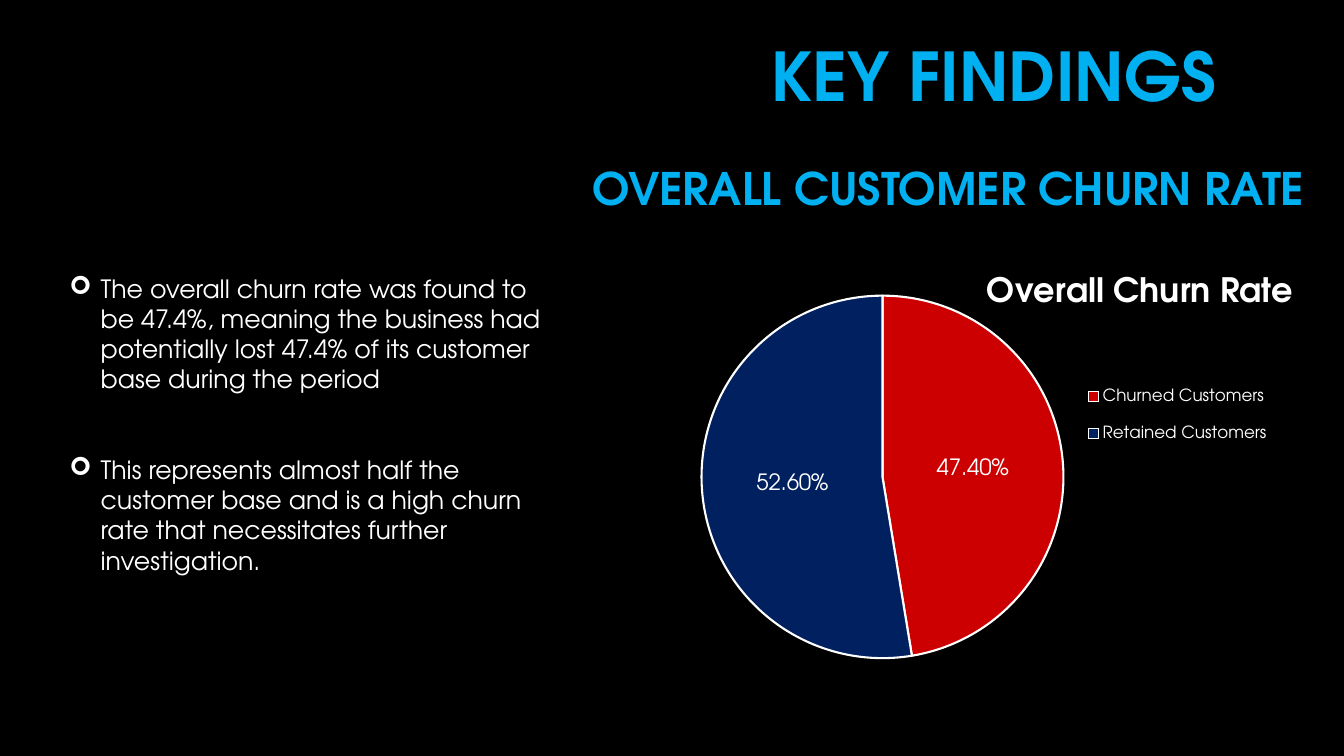
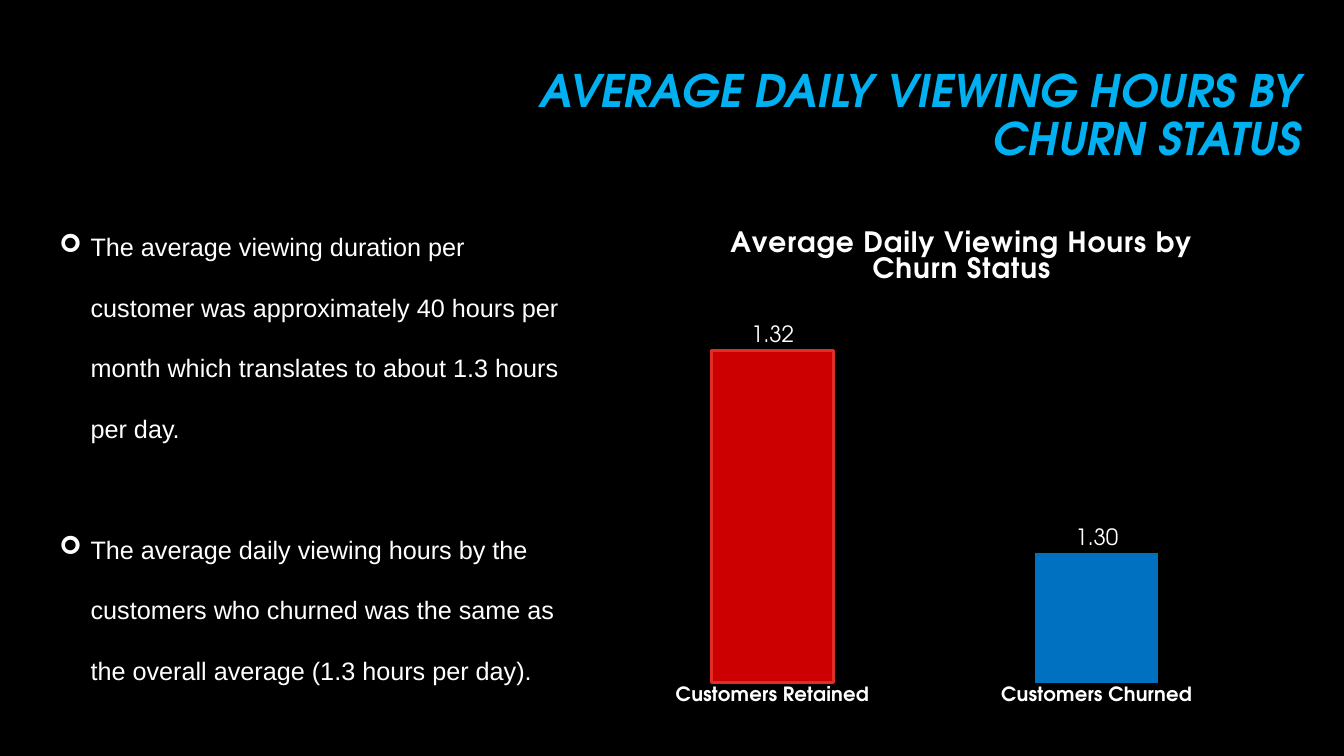
from lxml import etree
from pptx import Presentation
from pptx.chart.data import CategoryChartData
from pptx.dml.color import RGBColor
from pptx.enum.chart import XL_CHART_TYPE, XL_LABEL_POSITION, XL_LEGEND_POSITION, XL_TICK_MARK
from pptx.enum.text import MSO_ANCHOR, PP_ALIGN
from pptx.oxml.ns import qn
from pptx.util import Emu, Pt

PIE, COLUMN = XL_CHART_TYPE.PIE, XL_CHART_TYPE.COLUMN_CLUSTERED
CENTER, OUTSIDE_END = XL_LABEL_POSITION.CENTER, XL_LABEL_POSITION.OUTSIDE_END
CORNER = XL_LEGEND_POSITION.CORNER
NO_TICK = XL_TICK_MARK.NONE
RIGHT, MIDDLE = PP_ALIGN.RIGHT, MSO_ANCHOR.MIDDLE

PX = 9144  # 100 px to the inch
DISPLAY_FONT, PLAIN_FONT, BULLET_FONT = "TeX Gyre Adventor", "Arial", "Wingdings"
BLACK, WHITE, SKY = "000000", "FFFFFF", "00B0F0"
RED, NAVY, BLUE, RED_EDGE = "CC0000", "002060", "0070C0", "DF2E28"
BULLET_INDENT = 31
BULLET_GAP = 43

# Boxes are left, top, width, height in px; layouts are fractions of the chart.
SLIDES = [
    {
        "headings": [
            {"text": "OVERALL CUSTOMER CHURN RATE", "box": (446, 156, 858, 67), "size": 32},
            {"text": "KEY FINDINGS", "box": (675, 45, 541, 68), "size": 48},
        ],
        "findings": {
            "box": (59, 266, 511, 343), "font": DISPLAY_FONT, "spacing": 1.0,
            "items": [
                "The overall churn rate was found to be 47.4%, meaning the business had "
                "potentially lost 47.4% of its customer base during the period",
                "This represents almost half the customer base and is a high churn rate "
                "that necessitates further investigation.",
            ],
        },
        "chart": {
            "type": PIE, "box": (658, 215, 631, 453),
            "title": "Overall Churn Rate", "title_size": 24, "title_tracking": 0,
            "points": [("Churned Customers", 0.474, RED, (WHITE, 1.5)),
                       ("Retained Customers", 0.526, NAVY, (WHITE, 1.5))],
            "format": "0.00%", "label_position": CENTER,
            "title_at": (0.5, 0.11), "plot_at": (0.06, 0.17, 0.57, 0.8),
            "legend_at": (0.66, 0.33, 0.3, 0.21),
        },
    },
    {
        "headings": [
            {"text": "AVERAGE DAILY VIEWING HOURS BY CHURN STATUS",
             "box": (498, 52, 802, 128), "size": 32, "italic": True},
        ],
        "findings": {
            "box": (49, 195, 531, 485), "font": PLAIN_FONT, "spacing": 2.0,
            "items": [
                "The average viewing duration per customer was approximately 40 hours per "
                "month which translates to about 1.3 hours per day.",
                "The average daily viewing hours by the customers who churned was the same "
                "as the overall average (1.3 hours per day).",
            ],
        },
        "chart": {
            "type": COLUMN, "box": (592, 216, 670, 496),
            "title": "Average Daily Viewing Hours by Churn Status",
            "title_size": 20, "title_tracking": 50,
            "points": [("Customers Retained", 1.32, RED, (RED_EDGE, 2)),
                       ("Customers Churned", 1.30, BLUE, None)],
            "format": "0.00", "label_position": OUTSIDE_END,
            "title_at": (0.19, 0.01), "plot_at": (0.02, 0.17, 0.96, 0.76),
            "value_range": (1.2873, 1.3247),
        },
    },
]


def rgb(hex_color):
    return RGBColor.from_string(hex_color)


def emu(box):
    return [Emu(length * PX) for length in box]


def style(font, size, name=DISPLAY_FONT, color=WHITE, bold=False, italic=False):
    font.size, font.name = Pt(size), name
    font.bold, font.italic = bold, italic
    font.color.rgb = rgb(color)


def add_frame(slide, box):
    frame = slide.shapes.add_textbox(*emu(box)).text_frame
    frame.word_wrap = True
    return frame


def add_heading(slide, text, box, size, italic=False):
    frame = add_frame(slide, box)
    frame.vertical_anchor = MIDDLE
    frame.text = text
    line = frame.paragraphs[0]
    line.alignment, line.line_spacing = RIGHT, 0.9
    style(line.runs[0].font, size, color=SKY, bold=True, italic=italic)


def add_findings(slide, box, font, spacing, items):
    frame = add_frame(slide, box)
    frame.text = "\n".join(items)
    for index, finding in enumerate(frame.paragraphs):
        finding.line_spacing = spacing
        finding.space_before = Pt(BULLET_GAP if index else 0)
        style(finding.runs[0].font, 18, font)
        properties = finding._p.get_or_add_pPr()
        properties.set("marL", str(BULLET_INDENT * PX))
        properties.set("indent", str(-BULLET_INDENT * PX))
        bullet_font = etree.SubElement(properties, qn("a:buFont"))
        bullet_font.set("typeface", BULLET_FONT)
        bullet_font.set("charset", "2")
        etree.SubElement(properties, qn("a:buChar")).set("char", "➢")


def place(chart, tag, index, fractions):
    """Give a chart part a manual layout, inserted as its child at index."""
    part = chart._chartSpace.find(".//" + qn(tag))
    for old in part.findall(qn("c:layout")):
        part.remove(old)
    layout = etree.Element(qn("c:layout"))
    manual = etree.SubElement(layout, qn("c:manualLayout"))
    settings = [("xMode", "edge"), ("yMode", "edge"), *zip("xywh", fractions)]
    if tag == "c:plotArea":
        settings.insert(0, ("layoutTarget", "inner"))
    for name, value in settings:
        etree.SubElement(manual, qn("c:" + name)).set("val", str(value))
    part.insert(index, layout)


def style_axes(chart, value_range):
    categories, values = chart.category_axis, chart.value_axis
    categories.major_tick_mark = categories.minor_tick_mark = NO_TICK
    categories.format.line.fill.background()
    style(categories.tick_labels.font, 14, bold=True)
    values.minimum_scale, values.maximum_scale = value_range
    values.has_major_gridlines = False
    values.visible = False
    chart.plots[0].gap_width, chart.plots[0].overlap = 164, -35


def add_legend(chart, fractions):
    chart.has_legend = True
    chart.legend.position = CORNER
    chart.legend.include_in_layout = False
    style(chart.legend.font, 12)
    place(chart, "c:legend", 1, fractions)


def add_chart(slide, spec):
    names, values, _, _ = zip(*spec["points"])
    data = CategoryChartData(number_format=spec["format"])
    data.categories = names
    data.add_series("Series 1", values)
    chart = slide.shapes.add_chart(spec["type"], *emu(spec["box"]), data).chart
    style(chart.font, 10)
    chart.has_legend = False

    chart.has_title = True
    title = chart.chart_title.text_frame
    title.text = spec["title"]
    title_run = title.paragraphs[0].runs[0]
    style(title_run.font, spec["title_size"], bold=True)
    title_run._r.get_or_add_rPr().set("spc", str(spec["title_tracking"]))
    place(chart, "c:title", 1, spec["title_at"])
    place(chart, "c:plotArea", 0, spec["plot_at"])

    plot = chart.plots[0]
    is_pie = spec["type"] == PIE
    plot.vary_by_categories = is_pie
    series = plot.series[0]
    labels = series.data_labels
    labels.show_value, labels.show_percentage = True, False
    labels.number_format, labels.number_format_is_linked = spec["format"], False
    labels.position = spec["label_position"]
    style(labels.font, 16)

    for index, (_, _, fill, edge) in enumerate(spec["points"]):
        look = series.points[index].format
        look.fill.solid()
        look.fill.fore_color.rgb = rgb(fill)
        if edge:
            look.line.color.rgb, look.line.width = rgb(edge[0]), Pt(edge[1])
        else:
            look.line.fill.background()

    if is_pie:
        add_legend(chart, spec["legend_at"])
    else:
        style_axes(chart, spec["value_range"])


def main():
    deck = Presentation()
    deck.slide_width, deck.slide_height = emu((1333, 750))
    for content in SLIDES:
        slide = deck.slides.add_slide(deck.slide_layouts[6])
        slide.background.fill.solid()
        slide.background.fill.fore_color.rgb = rgb(BLACK)
        for heading in content["headings"]:
            add_heading(slide, **heading)
        add_chart(slide, content["chart"])
        add_findings(slide, **content["findings"])
    deck.save("out.pptx")


if __name__ == "__main__":
    main()
